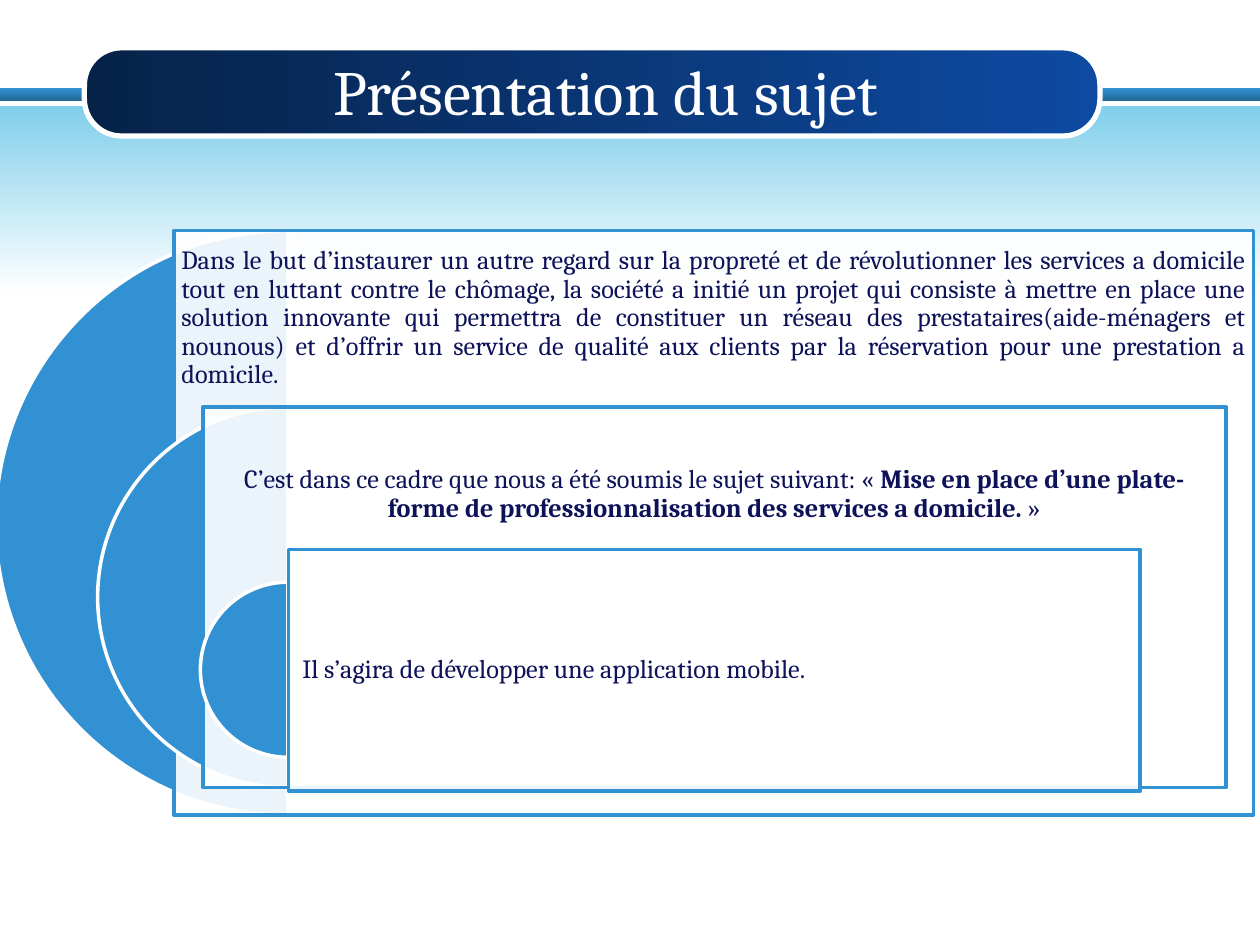
from lxml.etree import SubElement
from pptx import Presentation
from pptx.dml.color import RGBColor
from pptx.enum.shapes import MSO_SHAPE as Shape
from pptx.enum.text import MSO_ANCHOR as Anchor, PP_ALIGN as Align
from pptx.oxml.ns import qn
from pptx.util import Inches, Pt

COLUMNS, ROWS = 100, 75
SLIDE_WIDTH, SLIDE_HEIGHT = Inches(10), Inches(7.5)
WHITE, BLUE, NAVY = "FFFFFF", "3191D3", "0D1259"
FONT = "Cambria"
DOME_AXIS = 22.85  # column through the centres of all three domes


def rgb(value):
    return RGBColor.from_string(value)


def place(box):
    """Turn left, top, width, height in grid cells into slide lengths."""
    left, top, width, height = box
    return (int(SLIDE_WIDTH * left / COLUMNS), int(SLIDE_HEIGHT * top / ROWS),
            int(SLIDE_WIDTH * width / COLUMNS), int(SLIDE_HEIGHT * height / ROWS))


def add_form(slide, kind, box, colors, angle=0, outline=None, line_width=2,
             opacity=None, adjustments=()):
    """Add a preset shape; two colours make a gradient."""
    form = slide.shapes.add_shape(kind, *place(box))
    form.shadow.inherit = False
    for index, value in enumerate(adjustments):
        form.adjustments[index] = value
    if len(colors) == 2:
        form.fill.gradient()
        form.fill.gradient_angle = angle
        for stop, color in zip(form.fill.gradient_stops, colors):
            stop.color.rgb = rgb(color)
    else:
        form.fill.solid()
        form.fill.fore_color.rgb = rgb(colors[0])
    if opacity is not None:
        color_tag = next(form.element.spPr.iter(qn("a:srgbClr")))
        SubElement(color_tag, qn("a:alpha"), val=str(opacity * 1000))
    if outline:
        form.line.color.rgb = rgb(outline)
        form.line.width = Pt(line_width)
    else:
        form.line.fill.background()
    return form


def write(frame, *runs, size=15, color=NAVY, align=Align.LEFT, spacing=0.9,
          inset=0.06, left_inset=None):
    """Fill a text frame with one paragraph of (text, bold) runs."""
    frame.word_wrap = True
    frame.vertical_anchor = Anchor.MIDDLE
    frame.margin_top = frame.margin_right = frame.margin_bottom = Inches(inset)
    frame.margin_left = Inches(left_inset or inset)
    paragraph = frame.paragraphs[0]
    paragraph.alignment = align
    paragraph.line_spacing = spacing
    for text, bold in runs:
        run = paragraph.add_run()
        run.text = text
        run.font.name, run.font.size, run.font.bold = FONT, Pt(size), bold
        run.font.color.rgb = rgb(color)


def add_backdrop(slide):
    add_form(slide, Shape.RECTANGLE, (0, 7, COLUMNS, 1), (BLUE, "236897"), angle=270)
    add_form(slide, Shape.RECTANGLE, (0, 8.4, COLUMNS, 14.9), ("81CFEB", WHITE), angle=270)


def add_heading(slide, box, text):
    left, top, width, height = box
    add_form(slide, Shape.ROUNDED_RECTANGLE, box, ("062248", "0E4AA2"),
             outline=WHITE, line_width=3, adjustments=[0.42])
    title = slide.shapes.title
    title.left, title.top, title.width, title.height = place(
        (left + 2.5, top + 0.3, width - 3.9, height - 0.8))
    write(title.text_frame, (text, False), size=36, color=WHITE,
          align=Align.CENTER, spacing=1, inset=0.05, left_inset=0.15)
    title.element.getparent().append(title.element)  # in front of the banner


def add_level(slide, box, dome_top, diameter, text_height, runs, **text_format):
    """Add a half-disc dome, its translucent panel and the panel's text."""
    left, top, width, _ = box
    add_form(slide, Shape.PIE,
             (DOME_AXIS - diameter / 2, dome_top, diameter, diameter), (BLUE,),
             outline=WHITE, adjustments=[54, 162])
    add_form(slide, Shape.RECTANGLE, box, (WHITE,), outline=BLUE, opacity=90)
    label = slide.shapes.add_textbox(*place((left, top, width, text_height)))
    write(label.text_frame, *runs, **text_format)


def main():
    deck = Presentation()
    deck.slide_width, deck.slide_height = SLIDE_WIDTH, SLIDE_HEIGHT
    slide = deck.slides.add_slide(deck.slide_layouts[5])
    add_backdrop(slide)
    add_heading(slide, (6.7, 3.8, 80.6, 7), "Présentation du sujet")

    context = [(
        "Dans le but d’instaurer un autre regard sur la propreté et de "
        "révolutionner les services a domicile tout en luttant contre le "
        "chômage, la société a initié un projet qui consiste à mettre en place "
        "une solution innovante qui permettra de constituer un réseau des "
        "prestataires(aide-ménagers et nounous) et d’offrir un service de "
        "qualité aux clients par la réservation pour une prestation a domicile.",
        False)]
    subject = [
        ("C’est dans ce cadre que nous a été soumis le sujet suivant: « ", False),
        ("Mise en place d’une plate-forme de professionnalisation des services "
         "a domicile.", True),
        (" »", False)]
    goal = [("Il s’agira de développer une application mobile.", False)]

    add_level(slide, (13.8, 18.3, 85.7, 46.4), 18.3, 46.4, 13.9, context,
              align=Align.JUSTIFY)
    add_level(slide, (16.1, 32.3, 81.2, 30.2), 32.3, 30.2, 13.9, subject,
              align=Align.CENTER)
    add_level(slide, (22.9, 43.6, 67.6, 19.2), 46.2, 13.9, 19.2, goal,
              align=Align.JUSTIFY, left_inset=0.11)
    deck.save("out.pptx")


if __name__ == "__main__":
    main()
